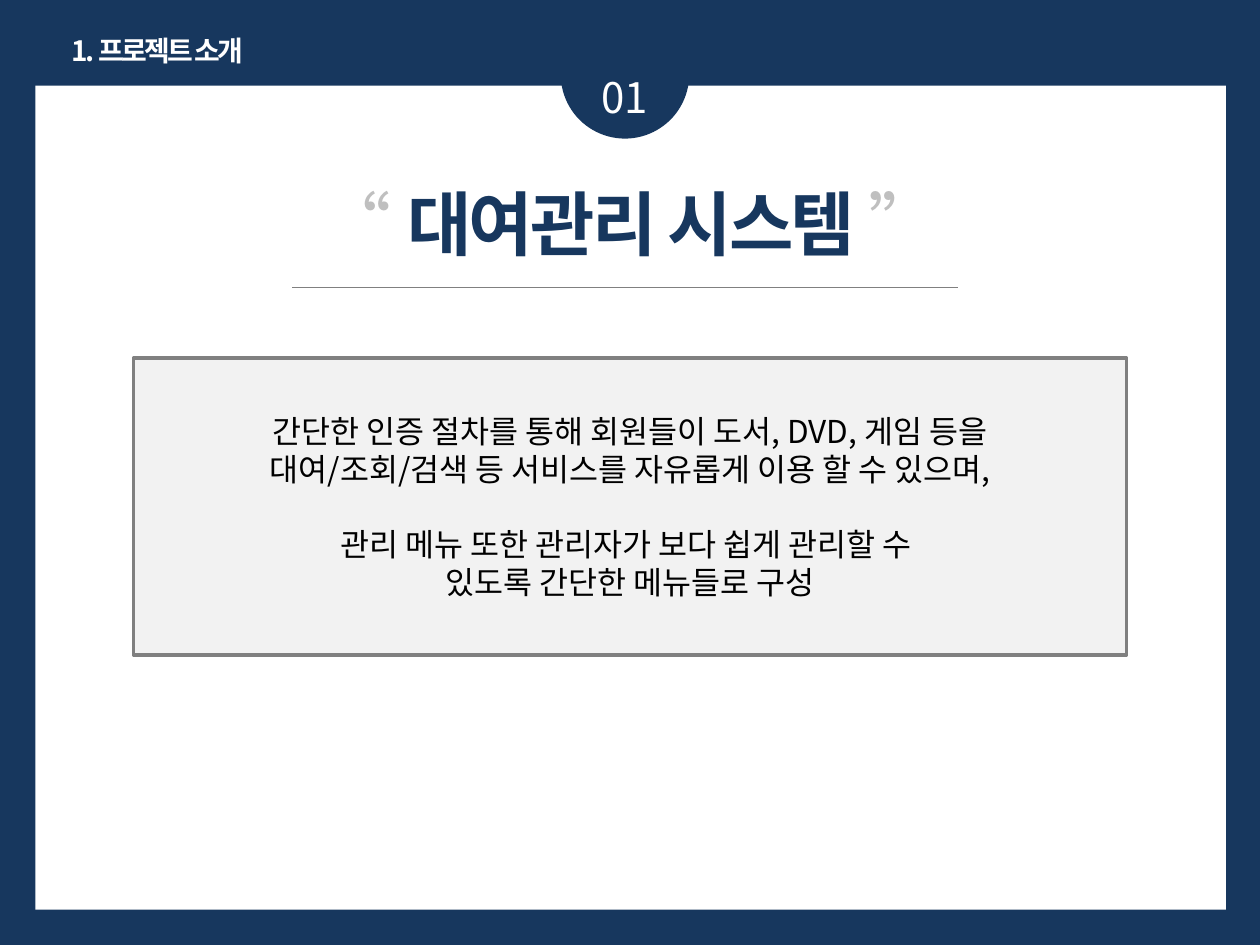
from lxml import etree
from pptx import Presentation
from pptx.dml.color import RGBColor
from pptx.enum.shapes import MSO_CONNECTOR, MSO_SHAPE
from pptx.enum.text import MSO_ANCHOR, MSO_AUTO_SIZE, PP_ALIGN
from pptx.oxml.ns import qn
from pptx.util import Inches, Pt

RECT, OVAL = MSO_SHAPE.RECTANGLE, MSO_SHAPE.OVAL
LINE = MSO_CONNECTOR.STRAIGHT
LEFT, CENTER = PP_ALIGN.LEFT, PP_ALIGN.CENTER
MIDDLE, GROW = MSO_ANCHOR.MIDDLE, MSO_AUTO_SIZE.SHAPE_TO_FIT_TEXT
FONT = "Noto Sans CJK KR"
COLORS = {"navy": "17375E", "white": "FFFFFF", "quote": "BFBFBF",
          "panel": "F2F2F2", "edge": "808080", "black": "000000"}
INTRO = [
    ["간단한 인증 절차를 통해 회원들이 도서, DVD, 게임 등을",
     "대여/조회/검색 등 서비스를 자유롭게 이용 할 수 있으며,"],
    ["관리 메뉴 또한 관리자가 보다 쉽게 관리할 수 ",
     "있도록 간단한 메뉴들로 구성"],
]


def color(name):
    """Return the named colour."""
    return RGBColor.from_string(COLORS[name])


def add_run(para, text, size, tint, bold=False, track=0):
    """Add one formatted run to a paragraph."""
    run = para.add_run()
    run.text = text
    form = {"name": FONT, "size": Pt(size), "bold": bold}
    for key, value in form.items():
        setattr(run.font, key, value)
    run.font.color.rgb = color(tint)
    props = run._r.get_or_add_rPr()
    etree.SubElement(props, qn("a:ea"), typeface=FONT)
    if track:
        props.set("spc", str(int(track * 100)))


def add_shape(slide, kind, box, fill, edge=None):
    """Add a flat shape with an optional outline."""
    shape = slide.shapes.add_shape(kind, *map(Inches, box))
    shape.shadow.inherit = False
    shape.fill.solid()
    shape.fill.fore_color.rgb = color(fill)
    if edge:
        shape.line.color.rgb = color(edge)
        shape.line.width = Pt(2)
    else:
        shape.line.fill.background()
    return shape


def add_label(slide, box, runs, align=CENTER):
    """Add a one-line text box made of formatted runs."""
    frame = slide.shapes.add_textbox(*map(Inches, box)).text_frame
    form = {"word_wrap": True, "auto_size": GROW}
    for key, value in form.items():
        setattr(frame, key, value)
    para = frame.paragraphs[0]
    para.alignment = align
    for run in runs:
        add_run(para, *run)


def add_panel(slide, box, blocks):
    """Add the outlined panel with a paragraph for each block of lines."""
    frame = add_shape(slide, RECT, box, "panel", "edge").text_frame
    frame.word_wrap = True
    frame.vertical_anchor = MIDDLE
    for i, lines in enumerate(blocks):
        para = frame.add_paragraph() if i else frame.paragraphs[0]
        para.alignment = CENTER
        para.space_before = Pt(21.5 if i else 0)
        for j, line in enumerate(lines):
            if j:
                para.add_line_break()
            add_run(para, line, 18, "black")


def add_rule(slide, left, right, top):
    """Add a thin horizontal rule."""
    ends = map(Inches, (left, top, right, top))
    rule = slide.shapes.add_connector(LINE, *ends)
    rule.line.color.rgb = color("edge")
    rule.line.width = Pt(0.75)
    etree.SubElement(rule._element.spPr, qn("a:effectLst"))


def main():
    """Build and save the slide."""
    deck = Presentation()
    deck.slide_width, deck.slide_height = Inches(10), Inches(7.5)
    slide = deck.slides.add_slide(deck.slide_layouts[6])
    slide.background.fill.solid()
    slide.background.fill.fore_color.rgb = color("navy")

    add_shape(slide, RECT, (0.28, 0.68, 9.45, 6.54), "white")
    add_shape(slide, OVAL, (4.45, 0.08, 1.02, 1.02), "navy")
    add_label(slide, (0.47, 0.22, 1.99, 0.37),
              [("1. 프로젝트 소개", 16, "white", True, -1.5)], LEFT)
    add_label(slide, (4.37, 0.52, 1.18, 0.5), [("01", 24, "white")])
    add_label(slide, (2.23, 1.38, 5.54, 0.77),
              [("“ ", 40, "quote"),
               ("대여관리 시스템 ", 40, "navy", True, -1.5),
               ("”", 40, "quote")])
    add_panel(slide, (1.06, 2.84, 7.88, 2.36), INTRO)
    add_rule(slide, 2.32, 7.6, 2.28)
    deck.save("out.pptx")


if __name__ == "__main__":
    main()
